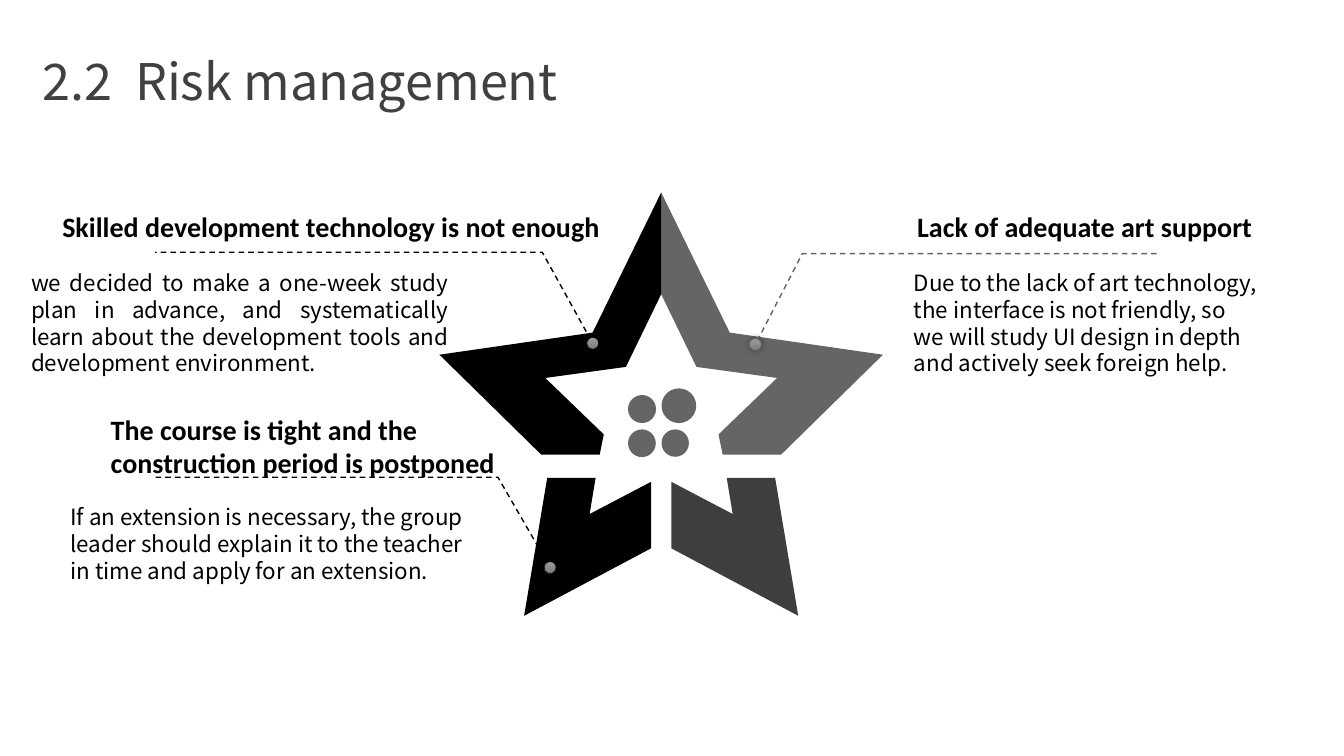
from lxml import etree
from pptx import Presentation
from pptx.dml.color import RGBColor
from pptx.enum.dml import MSO_LINE
from pptx.enum.shapes import MSO_SHAPE
from pptx.enum.text import MSO_ANCHOR, PP_ALIGN
from pptx.oxml.ns import qn
from pptx.util import Pt

ELLIPSE = MSO_SHAPE.OVAL
DASH = MSO_LINE.DASH
TOP, MIDDLE = MSO_ANCHOR.TOP, MSO_ANCHOR.MIDDLE
LEFT, JUSTIFY = PP_ALIGN.LEFT, PP_ALIGN.JUSTIFY

THEME = {
    "black": "000000", "dark": "3E3E3E", "gray": "656565", "title": "404040",
    "dot_light": "9D9D9D", "dot_dark": "7C7C7C",
    "heading_font": "Calibri", "body_font": "Noto Sans CJK SC",
    "title_size": 36, "heading_size": 20, "body_size": 16,
}

SLIDE_SIZE = (960, 540)
TITLE = "2.2  Risk management"
TITLE_BOX = (23.2, 25.2, 474, 55.4)

# Boxes are left, top, width, height; leaders run from the dot outwards.
RISKS = [
    {"heading": "Skilled development technology is not enough",
     "heading_box": (37.4, 133.9, 442, 39.6), "heading_spacing": 1.5,
     "body": "we decided to make a one-week study plan in advance, and "
             "systematically learn about the development tools and "
             "development environment.",
     "body_box": (15.1, 188.6, 312.5, 85), "align": JUSTIFY,
     "leader": [(423.4, 245.2), (387.4, 180.2), (110.9, 180.2)], "color": "black"},
    {"heading": "Lack of adequate art support",
     "heading_box": (648, 133.9, 272.2, 39.6), "heading_spacing": 1.5,
     "body": "Due to the lack of art technology, the interface is not friendly, "
             "so we will study UI design in depth and actively seek foreign help.",
     "body_box": (645.8, 188.6, 259.2, 85), "align": LEFT,
     "leader": [(539.6, 246), (573.1, 181.2), (827.3, 181.2)], "color": "gray"},
    {"heading": "The course is tight and the construction period is postponed",
     "heading_box": (72, 290.9, 337, 104.4), "heading_spacing": 1,
     "body": "If an extension is necessary, the group leader should explain it "
             "to the teacher in time and apply for an extension.",
     "body_box": (43.2, 355.7, 295.9, 65.5), "align": LEFT,
     "leader": [(393, 405.4), (355.7, 340.9), (110.9, 340.9)], "color": "black"},
]

# Star outlines: distance from the vertical axis, then height on the slide.
STAR_AXIS = 472.3
UPPER_ARM = [(49, 237.6), (0, 137.5), (0, 210.2), (25.2, 262.1), (82.8, 270),
             (41, 310.3), (43.9, 324.7), (85.7, 324.7), (158.4, 253.4)]
LOWER_ARM = [(7.2, 344.2), (7.2, 391.7), (97.9, 439.9), (81.4, 341.3),
             (46.8, 341.3), (51.1, 367.2)]
STAR_PARTS = [(LOWER_ARM, 1, "dark"), (LOWER_ARM, -1, "black"),
              (UPPER_ARM, 1, "gray"), (UPPER_ARM, -1, "black")]
CORE_CIRCLES = [(448.6, 282.2, 20), (472.5, 277.4, 24.8),
                (448.6, 306.7, 19.8), (472.5, 306.7, 19.6)]
DOT_SIZE = 8.6


def rgb(name):
    return RGBColor.from_string(THEME[name])


def write(shape, text, *, size, font, color="black", bold=False,
          align=LEFT, spacing=None, anchor=TOP):
    frame = shape.text_frame
    frame.word_wrap = True
    frame.vertical_anchor = anchor
    frame.margin_left = frame.margin_right = Pt(7.2)
    frame.margin_top = frame.margin_bottom = Pt(3.6)
    paragraph = frame.paragraphs[0]
    paragraph.alignment = align
    paragraph.line_spacing = spacing
    run = paragraph.add_run()
    run.text = text
    run.font.size = Pt(THEME[size])
    run.font.name = THEME[font]
    run.font.bold = bold
    run.font.color.rgb = rgb(color)


def add_text(slide, box, text, **text_format):
    write(slide.shapes.add_textbox(*map(Pt, box)), text, **text_format)


def add_outline(slide, points, close):
    corners = [(Pt(x), Pt(y)) for x, y in points]
    builder = slide.shapes.build_freeform(*corners[0])
    builder.add_line_segments(corners[1:], close=close)
    outline = builder.convert_to_shape()
    outline.shadow.inherit = False
    return outline


def add_circle(slide, left, top, size):
    circle = slide.shapes.add_shape(ELLIPSE, Pt(left), Pt(top), Pt(size), Pt(size))
    circle.shadow.inherit = False
    return circle


def fill_plain(shape, color):
    shape.fill.solid()
    shape.fill.fore_color.rgb = rgb(color)
    shape.line.fill.background()


def add_glow(shape):
    """Give the shape a soft shadow that spreads evenly on all sides."""
    effects = shape.element.spPr.find(qn("a:effectLst"))
    shadow = etree.SubElement(effects, qn("a:outerShdw"), blurRad=str(Pt(5)),
                              dist="0", algn="ctr", rotWithShape="0")
    tone = etree.SubElement(shadow, qn("a:srgbClr"), val=THEME["black"])
    etree.SubElement(tone, qn("a:alpha"), val="40000")


def add_leader(slide, points, color):
    leader = add_outline(slide, points, close=False)
    leader.fill.background()
    leader.line.color.rgb = rgb(color)
    leader.line.width = Pt(1)
    leader.line.dash_style = DASH
    etree.SubElement(leader.element.spPr.find(qn("a:ln")), qn("a:headEnd"), type="oval")

    x, y = points[0]
    dot = add_circle(slide, x - DOT_SIZE / 2, y - DOT_SIZE / 2, DOT_SIZE)
    dot.fill.gradient()
    dot.fill.gradient_angle = 270
    for stop, tone in zip(dot.fill.gradient_stops, ("dot_light", "dot_dark")):
        stop.color.rgb = rgb(tone)
    dot.line.color.rgb = rgb(color)
    dot.line.width = Pt(0.5)
    add_glow(dot)


def add_star(slide):
    for arm, side, color in STAR_PARTS:
        points = [(STAR_AXIS + side * x, y) for x, y in arm]
        fill_plain(add_outline(slide, points, close=True), color)
    for circle in CORE_CIRCLES:
        fill_plain(add_circle(slide, *circle), "gray")


def main():
    deck = Presentation()
    deck.slide_width, deck.slide_height = map(Pt, SLIDE_SIZE)
    slide = deck.slides.add_slide(deck.slide_layouts[5])

    title = slide.shapes.title
    title.left, title.top, title.width, title.height = map(Pt, TITLE_BOX)
    write(title, TITLE, size="title_size", font="body_font", color="title",
          spacing=1.2, anchor=MIDDLE)

    add_star(slide)
    for risk in RISKS:
        add_text(slide, risk["heading_box"], risk["heading"], size="heading_size",
                 font="heading_font", bold=True, spacing=risk["heading_spacing"])
        add_leader(slide, risk["leader"], risk["color"])
        add_text(slide, risk["body_box"], risk["body"], size="body_size",
                 font="body_font", align=risk["align"])
    deck.save("out.pptx")


if __name__ == "__main__":
    main()
